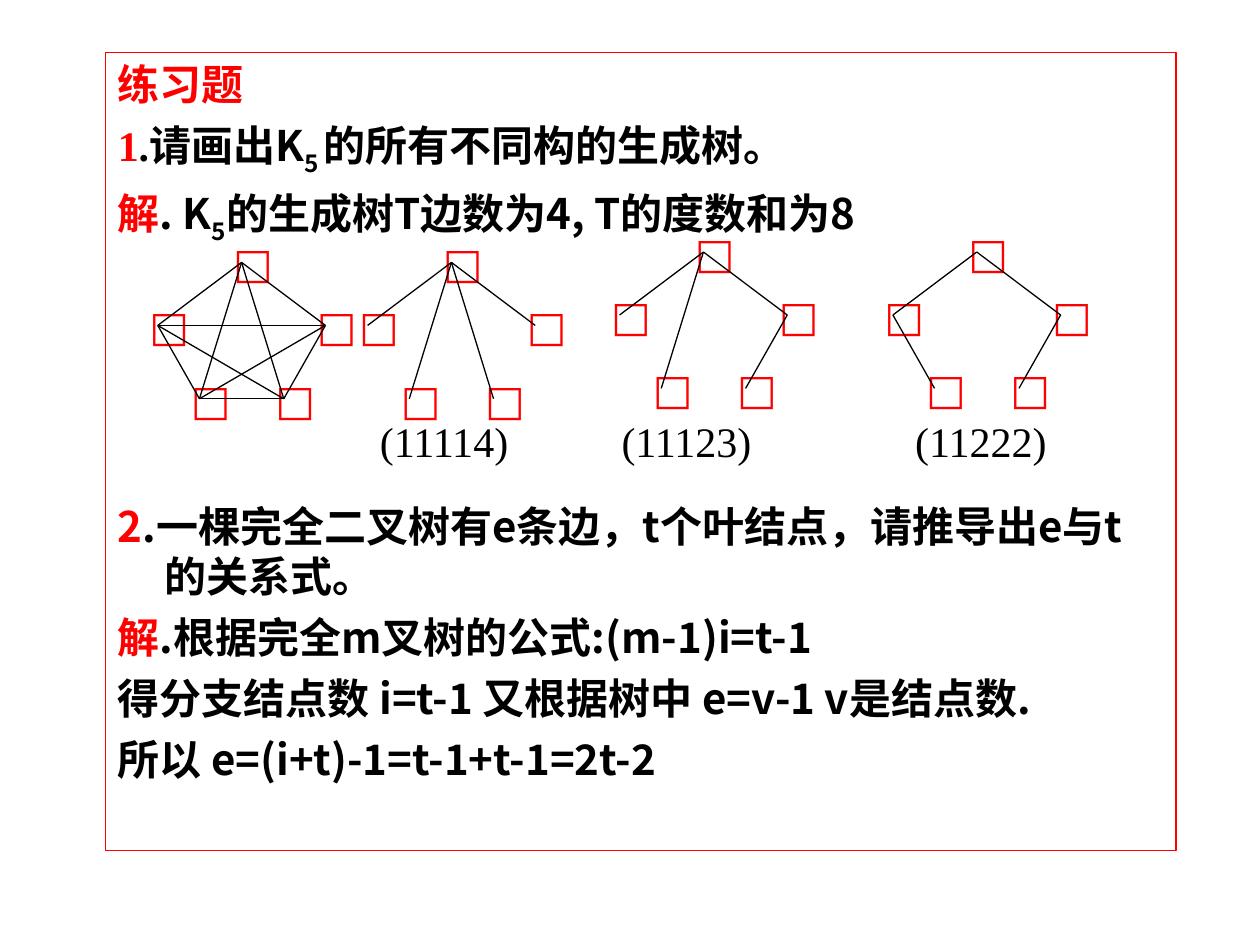
from dataclasses import dataclass
from itertools import combinations

from lxml import etree
from pptx import Presentation
from pptx import util as u
from pptx.dml.color import RGBColor
from pptx.enum import shapes, text
from pptx.oxml.ns import qn

RED, BLACK = "FF0000", "000000"
SERIF, SANS, SYMBOL = "Times New Roman", "Noto Sans CJK SC", "Roboto"

# Vertices of the pentagon relative to its apex, in cm:
# apex, left, right, bottom left, bottom right
VERTICES = [(0, 0), (-1.69, 1.27), (1.69, 1.27), (-0.85, 2.75), (0.85, 2.75)]


def color(hex_string):
    return RGBColor.from_string(hex_string)


def add_run(paragraph, content, font=SANS, fill=BLACK, bold=True, size=24, baseline=0):
    run = paragraph.add_run()
    run.text = content
    run.font.size = u.Pt(size)
    run.font.bold = bold
    run.font.color.rgb = color(fill)
    run.font.name = font
    properties = run.font._element
    etree.SubElement(properties, qn("a:ea")).set("typeface", SANS)
    if baseline:
        properties.set("baseline", str(baseline * 1000))


@dataclass
class Exercise:
    """Drawing style and the slide being filled."""
    slide: object
    line_width: float = 0.75

    def body(self, left, top, width, height, paragraphs):
        """Each paragraph is (space before in points, [(text, format), ...])."""
        box = self.slide.placeholders[1]
        box.left, box.top = u.Cm(left), u.Cm(top)
        box.width, box.height = u.Cm(width), u.Cm(height)
        box.line.color.rgb = color(RED)
        box.line.width = u.Pt(self.line_width)
        frame = box.text_frame
        frame.auto_size = text.MSO_AUTO_SIZE.NONE
        frame.vertical_anchor = text.MSO_ANCHOR.TOP
        for index, (space, runs) in enumerate(paragraphs):
            paragraph = frame.add_paragraph() if index else frame.paragraphs[0]
            paragraph.space_before = u.Pt(space)
            properties = paragraph._p.get_or_add_pPr()
            properties.set("marL", str(u.Cm(0.95)))
            properties.set("indent", str(u.Cm(-0.95)))
            etree.SubElement(properties, qn("a:buNone"))
            for content, style in runs:
                add_run(paragraph, content, **style)

    def label(self, parent, left, top, width, content, **style):
        box = parent.add_textbox(u.Cm(left), u.Cm(top), u.Cm(width), u.Cm(1.27))
        box.text_frame.word_wrap = True
        add_run(box.text_frame.paragraphs[0], content, **style)

    def edge(self, parent, start, end):
        line = parent.add_connector(
            shapes.MSO_CONNECTOR.STRAIGHT, *(u.Cm(v) for v in (*start, *end)))
        line.line.color.rgb = color(BLACK)
        line.line.width = u.Pt(self.line_width)
        etree.SubElement(line._element.spPr, qn("a:effectLst"))

    def graph(self, apex_x, apex_y, edges):
        group = self.slide.shapes.add_group_shape().shapes
        points = [(apex_x + x, apex_y + y) for x, y in VERTICES]
        for x, y in points:
            self.label(group, x - 0.42, y - 0.64, 1.48, "□", font=SYMBOL, fill=RED)
        for start, end in edges:
            self.edge(group, points[start], points[end])


def main():
    deck = Presentation()
    deck.slide_width, deck.slide_height = u.Cm(25.4), u.Cm(19.05)
    slide = deck.slides.add_slide(deck.slide_layouts[1])
    title = slide.shapes.title._element
    title.getparent().remove(title)
    exercise = Exercise(slide)

    red, plain, sub = {"fill": RED}, {}, {"baseline": -25}
    graphs_gap = 146
    exercise.body(2.12, 1.06, 21.59, 16.09, [
        (0, [("练习题", {"fill": RED, "font": SERIF})]),
        (6, [("1", {"fill": RED, "font": SERIF}), (".", {"font": SERIF}),
             ("请画出K", plain), ("5 ", sub), ("的所有不同构的生成树。", plain)]),
        (6, [("解", red), (". K", plain), ("5", sub),
             ("的生成树T边数为4, T的度数和为8", plain)]),
        (graphs_gap, [("2", red),
                      (".一棵完全二叉树有e条边，t个叶结点，请推导出e与t的关系式。", plain)]),
        (6, [("解", red), (".根据完全m叉树的公式:(m-1)i=t-1", plain)]),
        (6, [("得分支结点数 i=t-1 又根据树中 e=v-1 v是结点数.", plain)]),
        (6, [("所以 e=(i+t)-1=t-1+t-1=2t-2", plain)]),
    ])

    exercise.graph(4.87, 5.29, combinations(range(5), 2))
    exercise.graph(14.18, 5.08, [(0, 2), (0, 1), (2, 4), (0, 3)])
    exercise.graph(19.69, 5.08, [(0, 2), (0, 1), (1, 3), (2, 4)])
    exercise.graph(9.1, 5.29, [(0, vertex) for vertex in range(1, 5)])

    for left, degrees in [(7.41, "(11114)"), (12.28, "(11123)"), (18.2, "(11222)")]:
        exercise.label(slide.shapes, left, 8.26, 3.6, degrees, font=SERIF, bold=False)

    deck.save("out.pptx")


if __name__ == "__main__":
    main()
